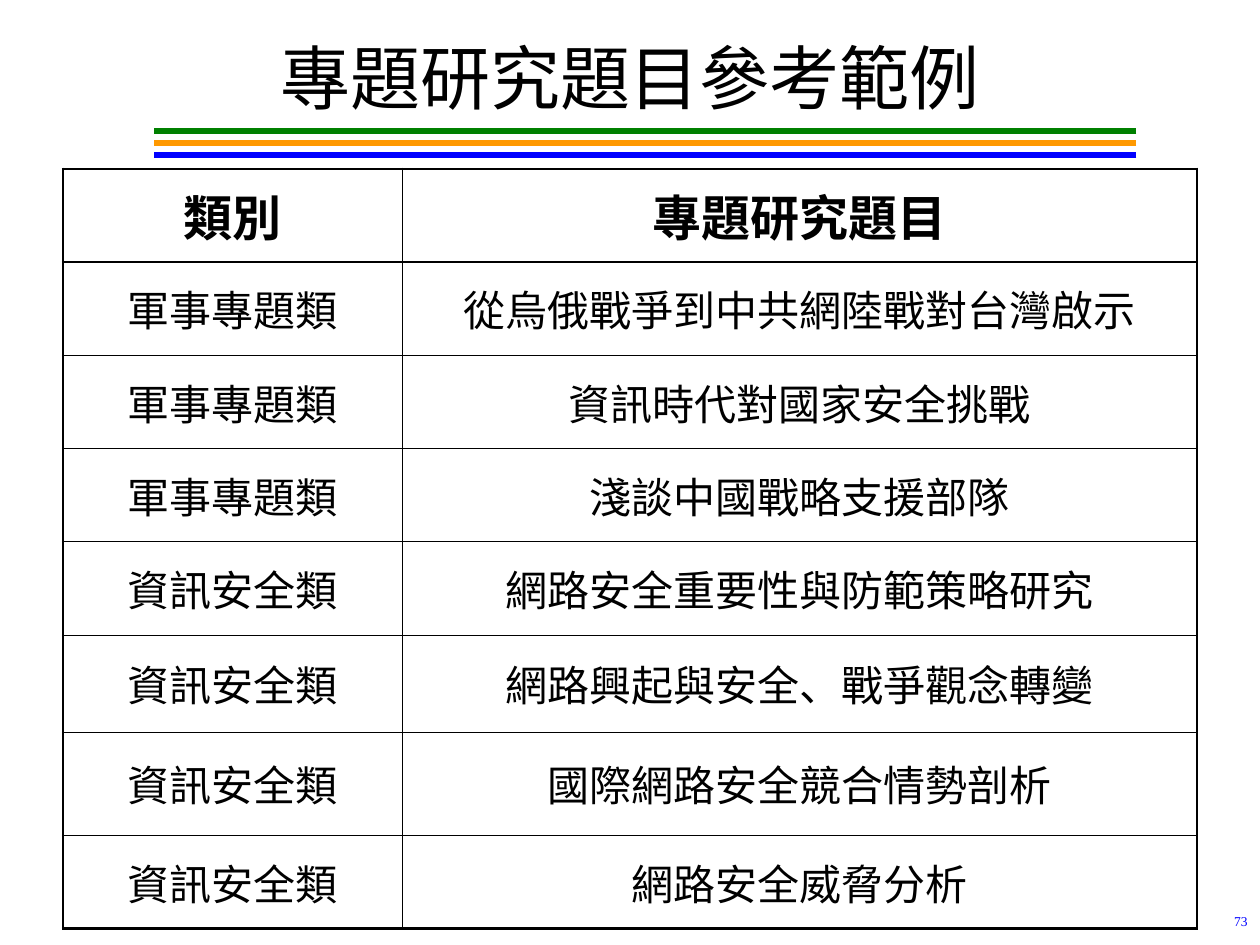
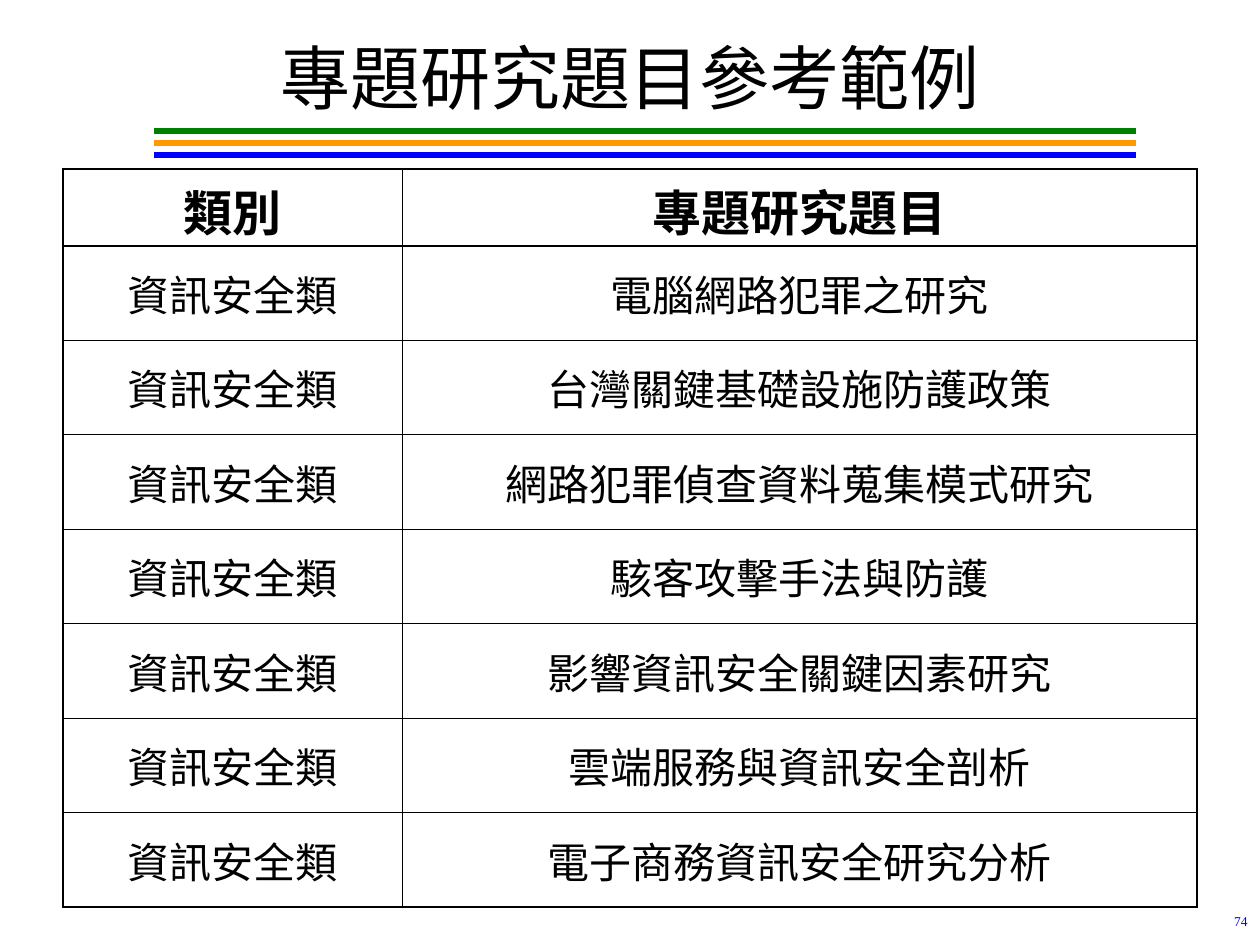
import dataclasses

import lxml.etree
import pptx
import pptx.dml.color
import pptx.enum.shapes
import pptx.enum.text
import pptx.oxml.ns
import pptx.util

SLIDE_WIDTH = pptx.util.Inches(10)
SLIDE_HEIGHT = pptx.util.Inches(7.5)
COLUMNS = 20
TITLE_ONLY = 5
FIRST_PAGE = 73
PP_ALIGN = pptx.enum.text.PP_ALIGN
ANCHOR_MIDDLE = pptx.enum.text.MSO_ANCHOR.MIDDLE
qn = pptx.oxml.ns.qn


@dataclasses.dataclass(frozen=True)
class Theme:
    """Colours, fonts and sizes shared by the slides."""
    ink: str = "000000"
    paper: str = "FFFFFF"
    page_number: str = "0000FF"
    stripes: tuple = ("008000", "FF9900", "0000FF")
    title_font: str = "Noto Sans CJK SC"
    table_font: str = "Arial"
    page_font: str = "Times New Roman"
    east_asian_font: str = "Noto Sans CJK SC"
    title_size: float = 40
    header_size: float = 28
    body_size: float = 24
    page_size: float = 7.7
    stripe_width: float = 3
    frame_width: float = 1.47
    rule_width: float = 0.45


THEME = Theme()
TITLE = "專題研究題目參考範例"
HEADINGS = ("類別", "專題研究題目")
MILITARY, SECURITY = "軍事專題類", "資訊安全類"
TOPIC_PAGES = (
    (
        (1.48,) * 5 + (1.54, 1.64, 1.48),
        (
            (MILITARY, "從烏俄戰爭到中共網陸戰對台灣啟示"),
            (MILITARY, "資訊時代對國家安全挑戰"),
            (MILITARY, "淺談中國戰略支援部隊"),
            (SECURITY, "網路安全重要性與防範策略研究"),
            (SECURITY, "網路興起與安全、戰爭觀念轉變"),
            (SECURITY, "國際網路安全競合情勢剖析"),
            (SECURITY, "網路安全威脅分析"),
        ),
    ),
    (
        (1.22,) + (1.5,) * 7,
        (
            (SECURITY, "電腦網路犯罪之研究"),
            (SECURITY, "台灣關鍵基礎設施防護政策"),
            (SECURITY, "網路犯罪偵查資料蒐集模式研究"),
            (SECURITY, "駭客攻擊手法與防護"),
            (SECURITY, "影響資訊安全關鍵因素研究"),
            (SECURITY, "雲端服務與資訊安全剖析"),
            (SECURITY, "電子商務資訊安全研究分析"),
        ),
    ),
)


def grid(*units):
    """Turn counts of square grid cells into lengths."""
    return [round(SLIDE_WIDTH / COLUMNS * unit) for unit in units]


def rgb(colour):
    """Turn a hex string into a colour."""
    return pptx.dml.color.RGBColor.from_string(colour)


def write(paragraph, text, font, size, colour=THEME.ink, bold=False, align=PP_ALIGN.CENTER):
    """Fill a paragraph and format it as a whole."""
    paragraph.text = text
    paragraph.alignment = align
    paragraph.font.name = font
    paragraph.font.size = pptx.util.Pt(size)
    paragraph.font.bold = bold
    paragraph.font.color.rgb = rgb(colour)
    defaults = paragraph.font._element
    east_asian = lxml.etree.SubElement(defaults, qn("a:ea"))
    east_asian.set("typeface", THEME.east_asian_font)


def add_title(slide):
    """Place and format the title placeholder."""
    title = slide.shapes.title
    title.left, title.top, title.width, title.height = grid(1, 0.52, 18, 1.38)
    frame = title.text_frame
    frame.auto_size = pptx.enum.text.MSO_AUTO_SIZE.NONE
    frame.vertical_anchor = ANCHOR_MIDDLE
    write(frame.paragraphs[0], TITLE, THEME.title_font, THEME.title_size)


def add_stripes(slide):
    """Draw the evenly spaced coloured stripes under the title."""
    for index, colour in enumerate(THEME.stripes):
        height = 2.08 + 0.19 * index
        stripe = slide.shapes.add_connector(
            pptx.enum.shapes.MSO_CONNECTOR.STRAIGHT, *grid(18.04, height, 2.44, height))
        stripe.line.color.rgb = rgb(colour)
        stripe.line.width = pptx.util.Pt(THEME.stripe_width)
        lxml.etree.SubElement(stripe._element.spPr, qn("a:effectLst"))


def add_page_number(slide, number):
    """Write the page number in the bottom right corner."""
    box = slide.shapes.add_textbox(*grid(15.34, 14.44, 4.66, 0.48))
    box.text_frame.word_wrap = True
    paragraph = box.text_frame.paragraphs[0]
    paragraph.line_spacing = 0.8
    write(paragraph, str(number), THEME.page_font, THEME.page_size,
          THEME.page_number, align=PP_ALIGN.RIGHT)


def add_borders(cell, heavy_sides):
    """Rule the four sides of a cell, with the named sides heavier."""
    properties = cell._tc.get_or_add_tcPr()
    for side in "LRTB":
        width = THEME.frame_width if side in heavy_sides else THEME.rule_width
        border = lxml.etree.SubElement(
            properties, qn(f"a:ln{side}"), w=str(pptx.util.Pt(width)))
        fill = lxml.etree.SubElement(border, qn("a:solidFill"))
        lxml.etree.SubElement(fill, qn("a:srgbClr"), val=THEME.ink)


def add_topic_table(slide, row_heights, topics):
    """Add the table of categories and research topics."""
    rows = (HEADINGS,) + topics
    table = slide.shapes.add_table(
        len(rows), len(HEADINGS), *grid(1, 2.68, 18, sum(row_heights))).table
    table.first_row = table.horz_banding = False
    for column, width in zip(table.columns, grid(5.38, 12.62)):
        column.width = width
    for row, height in zip(table.rows, grid(*row_heights)):
        row.height = height
    last = len(rows) - 1
    for row_index, texts in enumerate(rows):
        heading = row_index == 0
        size = THEME.header_size if heading else THEME.body_size
        heavy_rows = ("T" if row_index <= 1 else "") + ("B" if row_index in (0, last) else "")
        for column_index, text in enumerate(texts):
            cell = table.cell(row_index, column_index)
            add_borders(cell, heavy_rows + "LR"[column_index])
            cell.fill.solid()
            cell.fill.fore_color.rgb = rgb(THEME.paper)
            cell.vertical_anchor = ANCHOR_MIDDLE
            write(cell.text_frame.paragraphs[0], text, THEME.table_font, size, bold=heading)


def main():
    """Build and save the slides."""
    deck = pptx.Presentation()
    deck.slide_width, deck.slide_height = SLIDE_WIDTH, SLIDE_HEIGHT
    for number, (row_heights, topics) in enumerate(TOPIC_PAGES, FIRST_PAGE):
        slide = deck.slides.add_slide(deck.slide_layouts[TITLE_ONLY])
        add_stripes(slide)
        add_title(slide)
        add_page_number(slide, number)
        add_topic_table(slide, row_heights, topics)
    deck.save("out.pptx")


if __name__ == "__main__":
    main()
